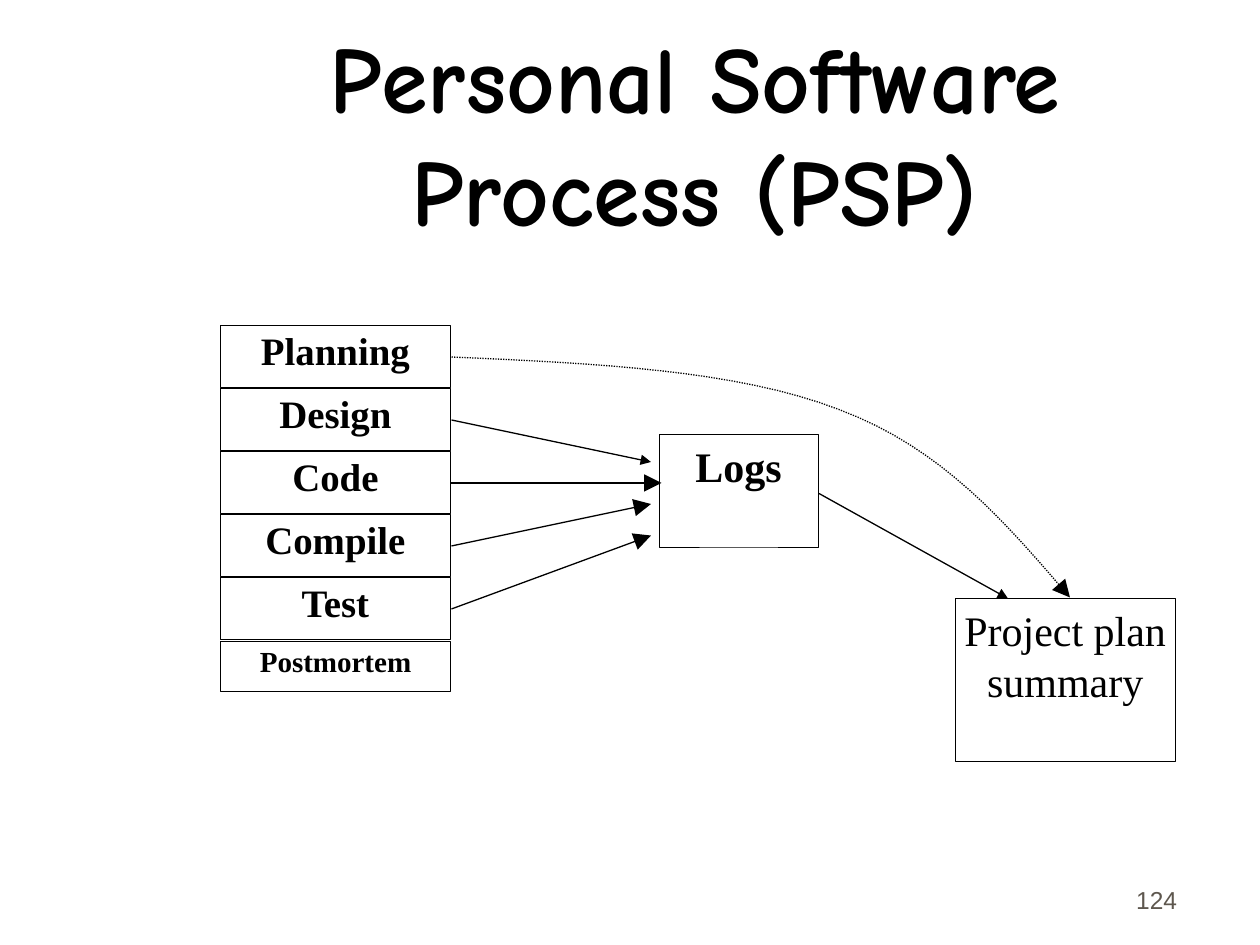
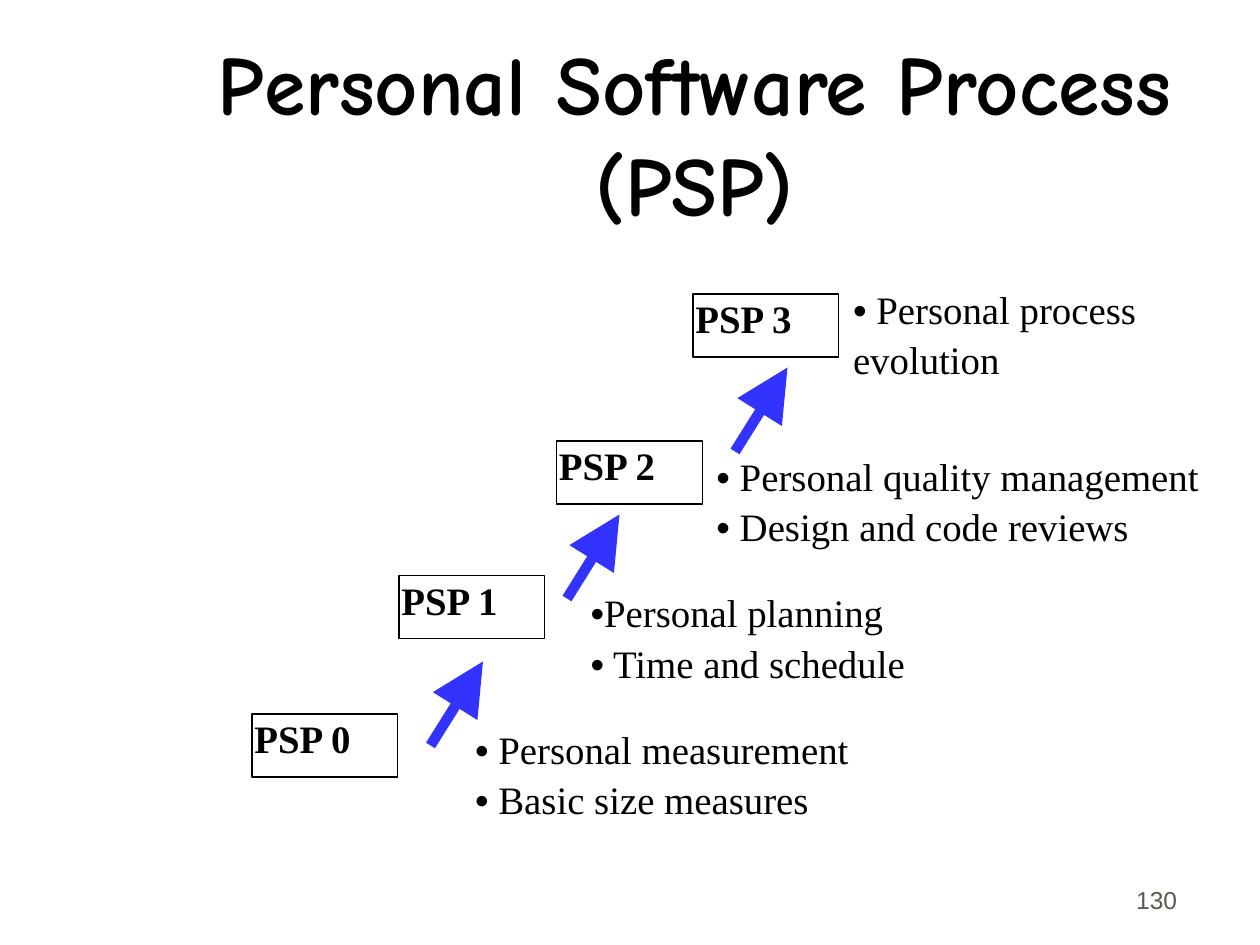
from lxml import etree
from pptx import Presentation
from pptx.dml.color import RGBColor
from pptx.enum.dml import MSO_LINE
from pptx.enum.shapes import MSO_CONNECTOR, MSO_SHAPE
from pptx.enum.text import MSO_ANCHOR, MSO_AUTO_SIZE, PP_ALIGN
from pptx.oxml.ns import qn
from pptx.util import Inches, Pt

LEFT, MID, RIGHT = PP_ALIGN.LEFT, PP_ALIGN.CENTER, PP_ALIGN.RIGHT
TOP, CENTER, BASE = MSO_ANCHOR.TOP, MSO_ANCHOR.MIDDLE, MSO_ANCHOR.BOTTOM
FIXED = MSO_AUTO_SIZE.NONE
DOTS = MSO_LINE.ROUND_DOT
RECT, STRAIGHT = MSO_SHAPE.RECTANGLE, MSO_CONNECTOR.STRAIGHT

HUES = {"ink": "000000", "arrow": "3333FF", "page": "5E574E"}
SERIF, SANS, COMIC = "Times New Roman", "Arial", "Comic Neue"
WIDE, HIGH = Inches(10), Inches(7.5)
UNIT = WIDE / 120  # the slide is a grid of 120 columns by 90 rows


def write(frame, rows, size, align=LEFT, anchor=TOP, gap=4.8, pitch=None,
          bold=False, hue="ink", pad=0.02):
    """Fill a text frame; each row is a list of (text, font) runs."""
    frame.word_wrap = True
    frame.auto_size = FIXED
    frame.vertical_anchor = anchor
    frame.margin_left = frame.margin_right = Inches(pad)
    frame.margin_top = frame.margin_bottom = Inches(0.05)
    for i, row in enumerate(rows):
        para = frame.add_paragraph() if i else frame.paragraphs[0]
        para.alignment = align
        para.space_before = Pt(gap)
        if pitch:
            para.line_spacing = pitch
        for text, font in row:
            run = para.add_run()
            run.text = text
            run.font.name = font
            run.font.size = Pt(size)
            run.font.bold = bold
            run.font.color.rgb = RGBColor.from_string(HUES[hue])


def stroke(shape, width, hue="ink", head=None, dash=None):
    """Set the line, with an arrowhead of size "med" or "lg" if asked."""
    shape.line.color.rgb = RGBColor.from_string(HUES[hue])
    shape.line.width = Pt(width)
    if dash:
        shape.line.dash_style = dash
    props = shape.element.spPr
    if head:
        etree.SubElement(props.find(qn("a:ln")), qn("a:tailEnd"),
                         type="triangle", w=head, len=head)
    if props.find(qn("a:effectLst")) is None:
        etree.SubElement(props, qn("a:effectLst"))


deck = Presentation()
deck.slide_width, deck.slide_height = WIDE, HIGH

# Title and page number of both slides
slides = []
for page, size in (("124", 54), ("130", 48)):
    slide = deck.slides.add_slide(deck.slide_layouts[5])
    title = slide.shapes.title
    title.left, title.top, title.width, title.height = (
        int(n * UNIT) for n in (15.1, 3.4, 102.1, 18.4))
    write(title.text_frame, [[("Personal Software Process (PSP)", COMIC)]],
          size, MID, CENTER, bold=True)
    foot = slide.shapes.add_textbox(
        *(int(n * UNIT) for n in (88.3, 81.7, 25, 6)))
    write(foot.text_frame, [[(page, SANS)]], 14, RIGHT, BASE,
          gap=8.8, hue="page", pad=0.1)
    slides.append(slide)
flow, steps = slides

# Flow: phases, logs and summary
# Each box: text, column, row, width, height, size, gap, pitch, bold
phases = ("Planning", "Design", "Code", "Compile", "Test")
boxes = [(name, 21, 31 + 6 * i, 21.9, 5.9, 22.2, 13.5, 0.9, True)
         for i, name in enumerate(phases)]
boxes += [
    ("Postmortem", 21, 61.1, 21.9, 4.7, 16.6, 10.1, 0.9, True),
    ("Logs", 62.8, 41.4, 15.1, 10.7, 24, 5, None, True),
    ("Project plan summary", 91, 57, 20.9, 15.5, 24, 13.5, None, False),
]
for name, x, y, w, h, size, gap, pitch, bold in boxes:
    box = flow.shapes.add_shape(RECT, *(int(n * UNIT) for n in (x, y, w, h)))
    box.fill.background()
    box.shadow.inherit = False
    stroke(box, 0.25)
    write(box.text_frame, [[(name, SERIF)]], size, MID,
          gap=gap, pitch=pitch, bold=bold)

links = [
    (43, 40, 62, 44, "med"),
    (43, 52, 62, 48, "lg"),
    (43, 58, 62, 51, "lg"),
    (43, 46, 63, 46, "lg"),
    (78, 47, 96, 57, "med"),
]
for *ends, head in links:
    link = flow.shapes.add_connector(STRAIGHT, *(int(n * UNIT) for n in ends))
    stroke(link, 0.75, head=head)

# Dotted curve from planning to the summary: two cubic arcs
arcs = [
    ((43, 34), (56.5, 34.6), (70.1, 35.2), (79.9, 39)),
    ((79.9, 39), (89.8, 42.7), (95.8, 49.8), (101.9, 56.9)),
]
COUNT = 16
points = []
for arc in arcs:
    for k in range(1, COUNT + 1):
        t = k / COUNT
        parts = ((1 - t) ** 3, 3 * t * (1 - t) ** 2, 3 * t * t * (1 - t), t ** 3)
        points.append(tuple(
            int(UNIT * sum(p * spot[axis] for p, spot in zip(parts, arc)))
            for axis in (0, 1)))
start = [int(n * UNIT) for n in arcs[0][0]]
pen = flow.shapes.build_freeform(*start)
pen.add_line_segments(points, close=False)
curve = pen.convert_to_shape()
curve.fill.background()
curve.shadow.inherit = False
stroke(curve, 0.75, head="lg", dash=DOTS)

# Steps: levels, rising arrows and what each level adds
levels = [(24, 68), (38, 54.8), (53, 42), (66, 28)]
for i, (x, y) in enumerate(levels):
    box = steps.shapes.add_shape(
        RECT, *(int(n * UNIT) for n in (x, y, 13.9, 6)))
    box.fill.background()
    box.shadow.inherit = False
    stroke(box, 0.75)
    write(box.text_frame, [[(f"PSP {i}", SERIF)]], 22.2,
          gap=13.1, pitch=0.9, bold=True)

for x, y in ((41, 71), (54, 57), (70, 43)):
    rise = steps.shapes.add_connector(
        STRAIGHT, *(int(n * UNIT) for n in (x, y, x + 5, y - 8)))
    stroke(rise, 6, "arrow", "lg")

DOT = ("•", SANS)
lists = [
    (45, 69, 42.8, [[DOT, (" Personal measurement", SERIF)],
                    [DOT, (" Basic size measures", SERIF)]]),
    (56, 56, 42.8, [[DOT, ("Personal planning", SERIF)],
                    [DOT, (" Time and schedule", SERIF)]]),
    (68, 43, 54, [[DOT, (" Personal quality management", SERIF)],
                  [DOT, (" Design and code reviews", SERIF)]]),
    (81, 27.1, 42.8, [[DOT, (" Personal process", SERIF)],
                      [("evolution", SERIF)]]),
]
for x, y, w, rows in lists:
    note = steps.shapes.add_textbox(*(int(n * UNIT) for n in (x, y, w, 11)))
    write(note.text_frame, rows, 22.2, pitch=0.9)

deck.save("out.pptx")
